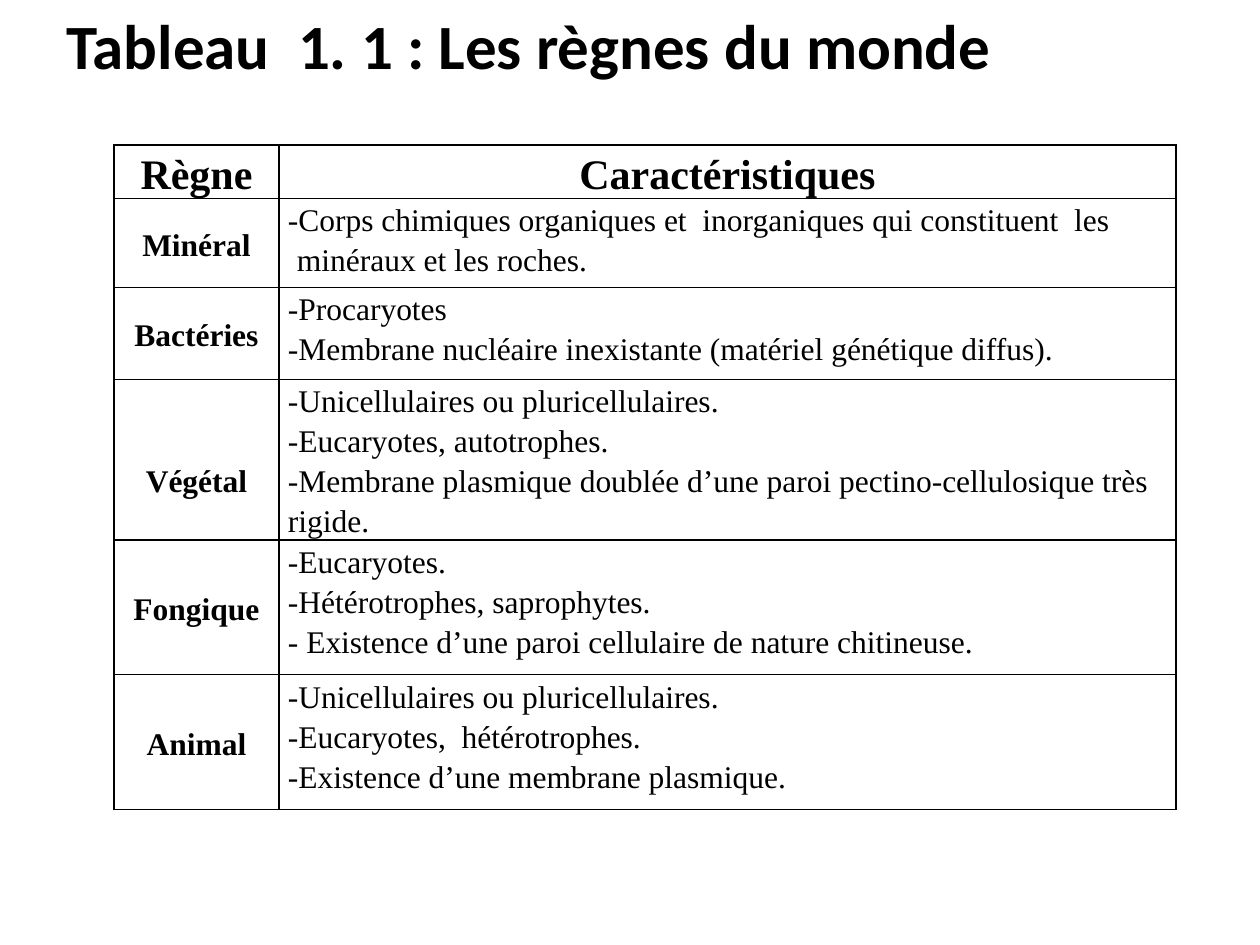
from pptx import Presentation
from pptx.dml.color import RGBColor
from pptx.enum.text import MSO_ANCHOR as Anchor, MSO_AUTO_SIZE as AutoSize, PP_ALIGN as Align
from pptx.oxml import parse_xml
from pptx.oxml.ns import nsdecls
from pptx.util import Emu, Pt

BLACK = RGBColor(0, 0, 0)
SERIF = "Times New Roman"
PX_PER_INCH = 126
LINE = 40  # height of one body line
INSET = 9

HEADINGS = ("Règne", "Caractéristiques")
# kingdom, its features, row height
KINGDOMS = [
    ("Minéral", ["-Corps chimiques organiques et  inorganiques qui constituent  "
                 "les minéraux et les roches."], 89),
    ("Bactéries", ["-Procaryotes",
                   "-Membrane nucléaire inexistante (matériel génétique diffus)."], 92),
    ("Végétal", ["-Unicellulaires ou pluricellulaires.",
                 "-Eucaryotes, autotrophes.",
                 "-Membrane plasmique doublée d’une paroi pectino-cellulosique "
                 "très rigide."], 135),
    ("Fongique", ["-Eucaryotes.",
                  "-Hétérotrophes, saprophytes.",
                  "- Existence d’une paroi cellulaire de nature chitineuse."], 135),
    ("Animal", ["-Unicellulaires ou pluricellulaires.",
                "-Eucaryotes,  hétérotrophes.",
                "-Existence d’une membrane plasmique."], 135),
]


def px(length):
    return Emu(round(length * 914400 / PX_PER_INCH))


def add_span(para, text, font_name, size, bold):
    span = para.add_run()
    span.text = text
    font = span.font
    font.name, font.size, font.bold = font_name, Pt(size), bold
    font.color.rgb = BLACK


def add_title(page, text):
    box = page.shapes.add_textbox(px(54), 0, px(989), px(89))
    frame = box.text_frame
    frame.word_wrap = False
    frame.auto_size = AutoSize.SHAPE_TO_FIT_TEXT
    frame.vertical_anchor = Anchor.MIDDLE
    add_span(frame.paragraphs[0], text, "Calibri", 36, True)


def set_borders(cell):
    properties = cell._tc.get_or_add_tcPr()
    for side in ("lnL", "lnR", "lnT", "lnB"):
        properties.append(parse_xml(
            f'<a:{side} {nsdecls("a")} w="{Pt(1)}"><a:solidFill>'
            f'<a:srgbClr val="{BLACK}"/></a:solidFill></a:{side}>'))


def fill_cell(cell, lines, size=18, label=False):
    set_borders(cell)
    cell.fill.background()
    cell.margin_left = cell.margin_right = px(INSET)
    cell.margin_top = cell.margin_bottom = 0
    cell.vertical_anchor = Anchor.MIDDLE if label else Anchor.TOP
    frame = cell.text_frame
    for index, line in enumerate(lines):
        para = frame.add_paragraph() if index else frame.paragraphs[0]
        para.alignment = Align.CENTER if label else Align.LEFT
        para.line_spacing = 1.15
        add_span(para, line, SERIF, size, label)


def add_kingdom_table(page):
    holder = page.shapes.add_table(len(KINGDOMS) + 1, 2,
                                   px(114), px(145), px(1062), px(683))
    table = holder.table
    table.first_row = table.horz_banding = False
    for column, width in zip(table.columns, (165, 897)):
        column.width = px(width)

    # Heading row
    table.rows[0].height = px(49)
    for column, heading in enumerate(HEADINGS):
        fill_cell(table.cell(0, column), [heading], size=24, label=True)

    # One row per kingdom
    for row, (kingdom, features, height) in enumerate(KINGDOMS, start=1):
        table.rows[row].height = px(height)
        fill_cell(table.cell(row, 0), [kingdom], label=True)
        fill_cell(table.cell(row, 1), features)

    # Hanging indent for the mineral text, lowered label for the plants
    hanging = table.cell(1, 1).text_frame.paragraphs[0]._p.get_or_add_pPr()
    hanging.set("marL", str(px(INSET)))
    hanging.set("indent", str(-px(INSET)))
    table.cell(3, 0).margin_top = px(LINE)


def main():
    deck = Presentation()
    deck.slide_width, deck.slide_height = px(1260), px(945)
    page = deck.slides.add_slide(deck.slide_layouts[6])
    add_kingdom_table(page)
    add_title(page, "Tableau  1. 1 : Les règnes du monde")
    deck.save("out.pptx")


if __name__ == "__main__":
    main()
